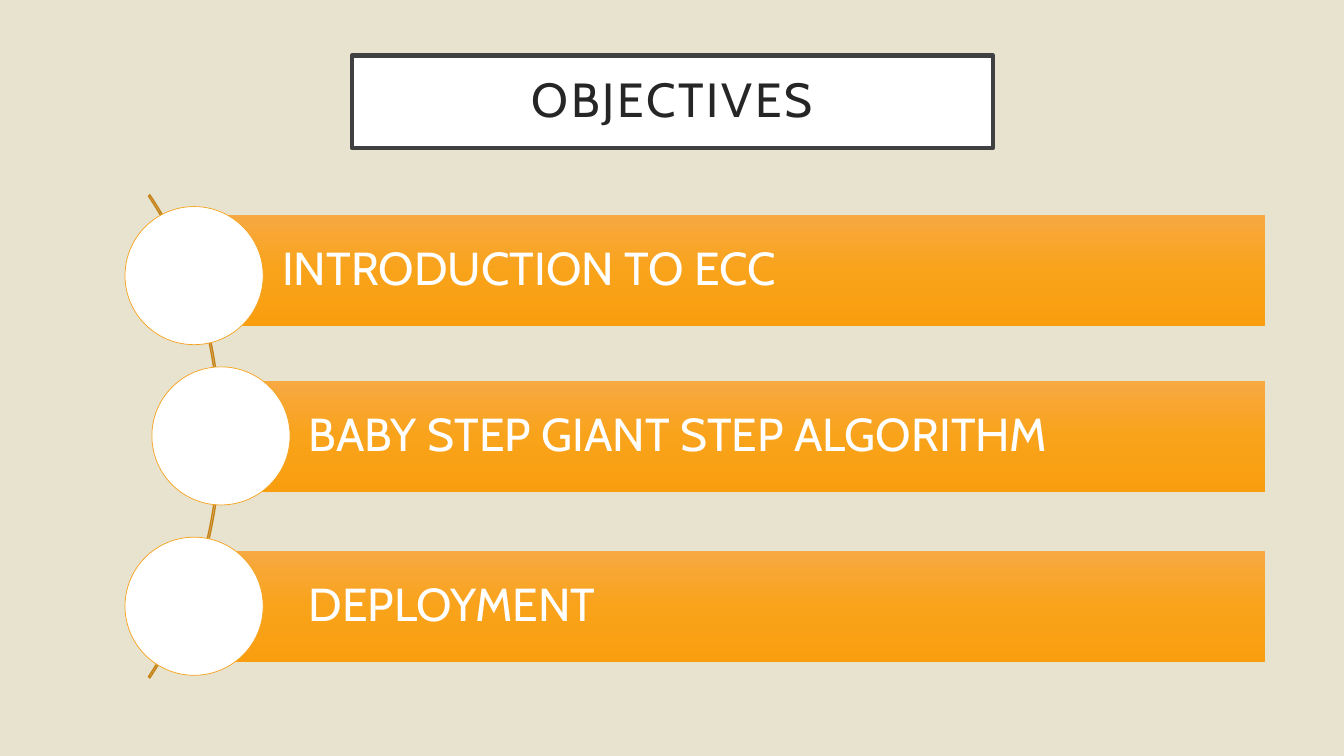
import dataclasses

import lxml.etree
import pptx
import pptx.dml.color
import pptx.enum.shapes
import pptx.enum.text
import pptx.oxml
import pptx.oxml.ns
import pptx.util

SHAPES = pptx.enum.shapes.MSO_SHAPE
ALIGN = pptx.enum.text.PP_ALIGN
WIDTH, HEIGHT = pptx.util.Inches(13.33), pptx.util.Inches(7.5)
COLUMN, ROW = WIDTH / 100, HEIGHT / 100


@dataclasses.dataclass(frozen=True)
class Theme:
    """Colours, font and type sizes of the slide."""
    font: str = "Cabin"
    background: str = "E8E3CE"
    white: str = "FFFFFF"
    title_text: str = "262626"
    title_border: str = "404040"
    arc: str = "C58217"
    ring: str = "F6A21D"
    bar_stops: tuple = ((0, "F7A942"), (50, "F9A31A"), (100, "F99E0F"))
    title_size: float = 34.2
    bar_size: float = 33


@dataclasses.dataclass(frozen=True)
class Box:
    """A rectangle on a grid of 100 columns by 100 rows."""
    left: float
    top: float
    width: float
    height: float

    def inside(self, left, top, width, height):
        """Return a box offset from this box's corner."""
        return Box(self.left + left, self.top + top, width, height)

    def lengths(self):
        """Return left, top, width and height as slide lengths."""
        units = (COLUMN, ROW, COLUMN, ROW)
        return [round(value * unit) for value, unit in zip(dataclasses.astuple(self), units)]


THEME = Theme()
TITLE_BOX = Box(26.18, 7.33, 47.7, 12.27)
AGENDA_BOX = Box(9.3, 27.33, 84.85, 62)
BAR_HEIGHT = 14.67
CIRCLE_SIZE = (10.28, 18.27)
AGENDA = (
    {"text": "INTRODUCTION TO ECC", "bar": (5.17, 1.07), "circle": (0, 0)},
    {"text": "BABY STEP GIANT STEP ALGORITHM", "bar": (7.13, 23.07), "circle": (2, 21.2)},
    {"text": "DEPLOYMENT", "bar": (7.13, 45.6), "circle": (0, 43.73)},
)


def set_values(target, values):
    """Set each named attribute of the target."""
    for name, value in values.items():
        setattr(target, name, value)


def colour(value):
    """Return a colour from its hex digits."""
    return pptx.dml.color.RGBColor.from_string(value)


def paint(shape, fill=None, line=None, line_width=0):
    """Give a shape a plain fill and outline, or none."""
    for target, value in ((shape.fill, fill), (shape.line.fill, line)):
        if value is None:
            target.background()
        else:
            target.solid()
            target.fore_color.rgb = colour(value)
    if line:
        shape.line.width = pptx.util.Pt(line_width)


def add_shape(slide, kind, box, **paint_values):
    """Add a painted shape without a shadow."""
    shape = slide.shapes.add_shape(kind, *box.lengths())
    shape.shadow.inherit = False
    paint(shape, **paint_values)
    return shape


def write(shape, text, size, text_colour, alignment, margins):
    """Write one vertically centred paragraph in a shape."""
    frame = shape.text_frame
    frame.text = text
    sides = ("margin_left", "margin_top", "margin_right", "margin_bottom")
    set_values(frame, {side: pptx.util.Inches(margin) for side, margin in zip(sides, margins)})
    set_values(frame, {
        "word_wrap": True,
        "auto_size": pptx.enum.text.MSO_AUTO_SIZE.NONE,
        "vertical_anchor": pptx.enum.text.MSO_ANCHOR.MIDDLE,
    })
    paragraph = frame.paragraphs[0]
    set_values(paragraph, {"alignment": alignment, "line_spacing": 0.9})
    run = paragraph.runs[0]
    set_values(run.font, {"name": THEME.font, "size": pptx.util.Pt(size)})
    run.font.color.rgb = colour(text_colour)
    return run


def apply_gradient(shape, stops):
    """Fill a shape with a gradient from top to bottom."""
    shape.fill.gradient()
    gradient = shape.fill._xPr.find(pptx.oxml.ns.qn("a:gradFill"))
    for child in list(gradient):
        gradient.remove(child)
    stop_list = lxml.etree.SubElement(gradient, pptx.oxml.ns.qn("a:gsLst"))
    for percent, value in stops:
        stop = lxml.etree.SubElement(stop_list, pptx.oxml.ns.qn("a:gs"), pos=str(percent * 1000))
        lxml.etree.SubElement(stop, pptx.oxml.ns.qn("a:srgbClr"), val=value)
    lxml.etree.SubElement(gradient, pptx.oxml.ns.qn("a:lin"), ang="5400000", scaled="0")


def build_title(slide, box):
    """Place the framed title in its box."""
    title = slide.shapes.title
    set_values(title, dict(zip(("left", "top", "width", "height"), box.lengths())))
    paint(title, fill=THEME.white, line=THEME.title_border, line_width=3)
    run = write(title, "OBJECTIVES", THEME.title_size, THEME.title_text,
                ALIGN.CENTER, (0.3, 0.2, 0.3, 0.2))
    run.font._element.set("spc", "200")


def build_agenda(slide, box):
    """Place the arc, and a bar and circle for each objective."""
    arc = add_shape(slide, SHAPES.BLOCK_ARC, box.inside(-39.38, -20, 46.5, 100.8),
                    line=THEME.arc, line_width=1)
    for index, value in enumerate((189, 27, 0.003)):
        arc.adjustments[index] = value
    for item in AGENDA:
        left, top = item["bar"]
        bar = add_shape(slide, SHAPES.RECTANGLE,
                        box.inside(left, top, box.width - left, BAR_HEIGHT))
        apply_gradient(bar, THEME.bar_stops)
        write(bar, item["text"], THEME.bar_size, THEME.white,
              ALIGN.LEFT, (0.87, 0.09, 0.09, 0.09))
        add_shape(slide, SHAPES.OVAL, box.inside(*item["circle"], *CIRCLE_SIZE),
                  fill=THEME.white, line=THEME.ring, line_width=0.5)


def main():
    """Build and save the presentation."""
    presentation = pptx.Presentation()
    set_values(presentation, {"slide_width": WIDTH, "slide_height": HEIGHT})
    slide = presentation.slides.add_slide(presentation.slide_layouts.get_by_name("Title Only"))
    slide.background.fill.solid()
    slide.background.fill.fore_color.rgb = colour(THEME.background)
    build_title(slide, TITLE_BOX)
    build_agenda(slide, AGENDA_BOX)
    presentation.save("out.pptx")


if __name__ == "__main__":
    main()
